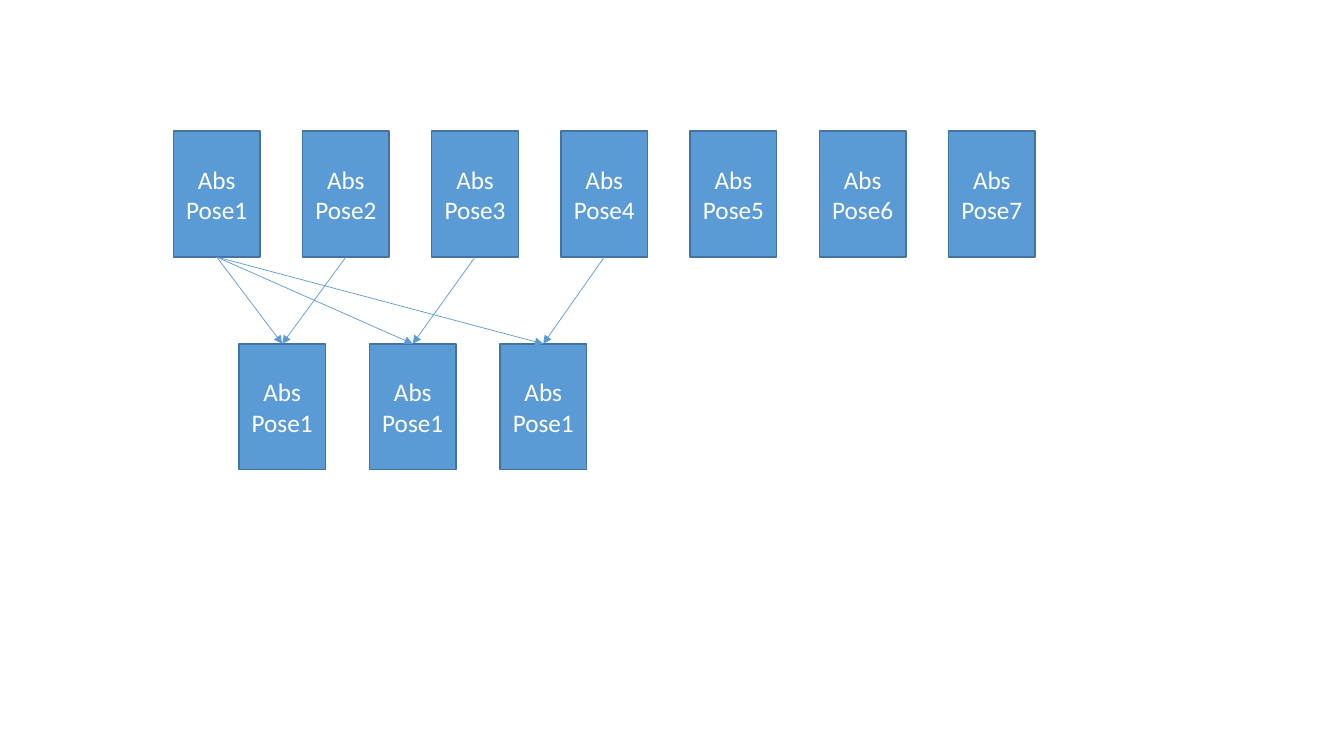
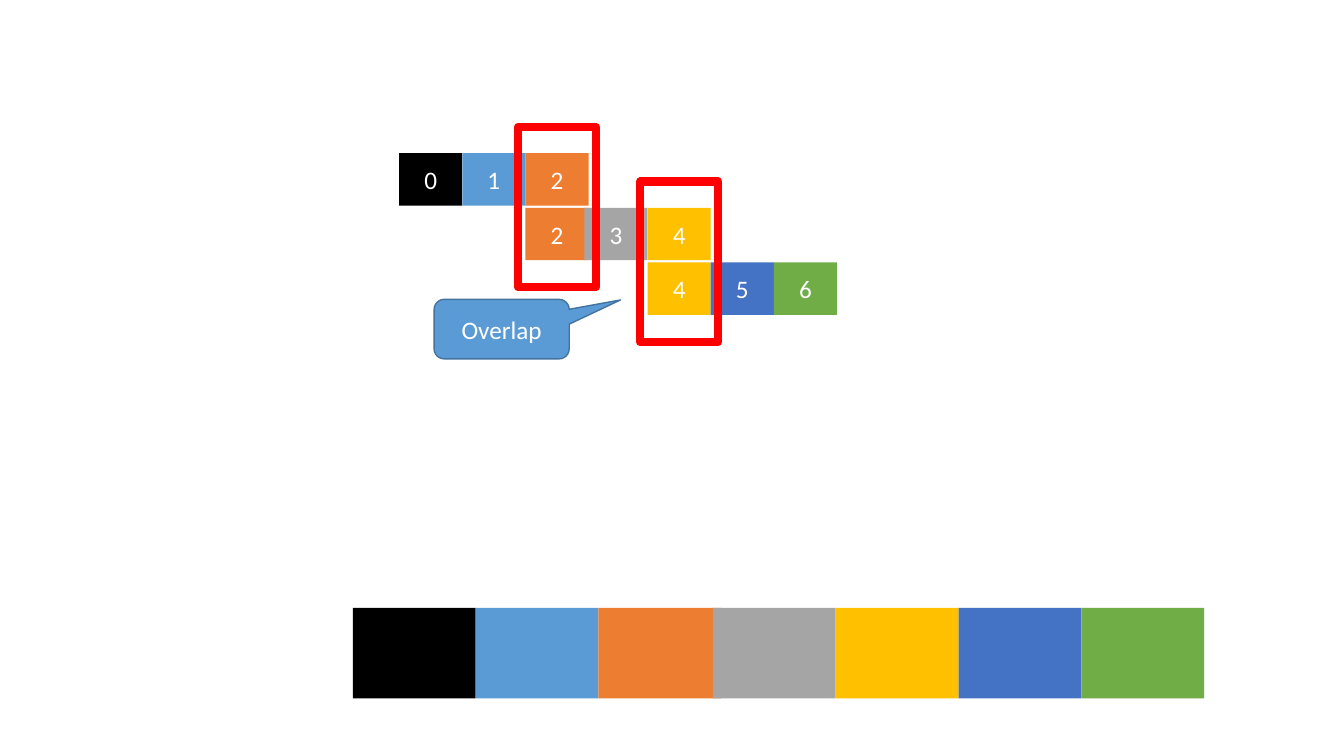
from dataclasses import dataclass

from pptx import Presentation
from pptx.dml.color import RGBColor
from pptx.enum import shapes, text
from pptx.oxml import ns, xmlchemy as xml
from pptx.util import Pt


@dataclass(frozen=True)
class Theme:
    font: str = "Calibri"
    size: float = 18
    ink: str = "FFFFFF"
    blue: str = "5B9BD5"
    edge: str = "43739E"
    mark: str = "FF0000"
    tiles: tuple = ("000000", "5B9BD5", "ED7D31", "A5A5A5",
                    "FFC000", "4472C4", "70AD47")


THEME = Theme()
KIND = shapes.MSO_SHAPE


def rgb(code):
    return RGBColor.from_string(code)


def block(parent, box, lines=(), fill=None, edge=None, width=1,
          kind=KIND.RECTANGLE):
    shape = parent.add_shape(kind, *map(Pt, box))
    shape.shadow.inherit = False
    if fill:
        shape.fill.solid()
        shape.fill.fore_color.rgb = rgb(fill)
    else:
        shape.fill.background()
    if edge:
        shape.line.color.rgb = rgb(edge)
        shape.line.width = Pt(width)
    else:
        shape.line.fill.background()
    if lines:
        frame = shape.text_frame
        frame.word_wrap = True
        frame.vertical_anchor = text.MSO_ANCHOR.MIDDLE
        frame.text = "\n".join(lines)
        for para in frame.paragraphs:
            para.alignment = text.PP_ALIGN.CENTER
            para.font.name = THEME.font
            para.font.size = Pt(THEME.size)
            para.font.color.rgb = rgb(THEME.ink)
    return shape


def arrow(parent, start, end):
    link = parent.add_connector(shapes.MSO_CONNECTOR.STRAIGHT, 0, 0, 0, 0)
    link.begin_connect(start, 2)
    link.end_connect(end, 0)
    link.line.color.rgb = rgb(THEME.blue)
    link.line.width = Pt(0.5)
    tip = xml.OxmlElement("a:tailEnd")
    tip.set("type", "triangle")
    link.line._get_or_add_ln().append(tip)
    link._element.spPr.append(link._element.makeelement(ns.qn("a:effectLst")))


def poses(parent, box, step, names):
    left, top, width, height = box
    return [block(parent, (left + i * step, top, width, height),
                  ("Abs", name), THEME.blue, THEME.edge)
            for i, name in enumerate(names)]


def graph(parent, left, top):
    width, height = 61.92, 90
    upper = poses(parent, (left, top, width, height), 92.28,
                  [f"Pose{n}" for n in range(1, 8)])
    lower = poses(parent, (left + 46.8, top + 152, width, height), 93.24,
                  ["Pose1"] * 3)
    for source, target in zip(upper[1:], lower):
        arrow(parent, upper[0], target)
        arrow(parent, source, target)


def place(box, index):
    left, top, width, height = box
    tuck = 0.066 * width if index > 2 else 0
    return left + index * width - tuck, top, width, height


def strip(parent, box, indices, label=False):
    for i in indices:
        block(parent, place(box, i), (str(i),) if label else (),
              THEME.tiles[i])


def windows(parent, left, top):
    width, height, step = 45.1, 37.44, 39
    rows = [(left, top + r * step, width, height) for r in range(3)]
    for r, row in enumerate(rows):
        strip(parent, row, range(2 * r, 2 * r + 3), label=True)
    for r, row in enumerate(rows[:2]):
        x, y, _, _ = place(row, 2 * r + 2)
        block(parent, (x - 5.3, y - 18.72, width + 10.6, 114.5),
              edge=THEME.mark, width=6)
    note = block(parent, (left + 25, top + 104.4, 96.5, 42.48), ("Overlap",),
                 THEME.blue, THEME.edge, kind=KIND.ROUNDED_RECTANGULAR_CALLOUT)
    for i, value in enumerate((0.88, -0.49, 0.17)):
        note.adjustments[i] = value


def main():
    deck = Presentation()
    deck.slide_width, deck.slide_height = Pt(960), Pt(540)
    first, second = (deck.slides.add_slide(deck.slide_layouts[6])
                     for _ in range(2))
    graph(first.shapes, 123.84, 93.6)
    strip(second.shapes.add_group_shape().shapes, (252, 434.16, 87.7, 64.8),
          range(7))
    windows(second.shapes.add_group_shape().shapes, 285.12, 109.44)
    deck.save("out.pptx")


main()
